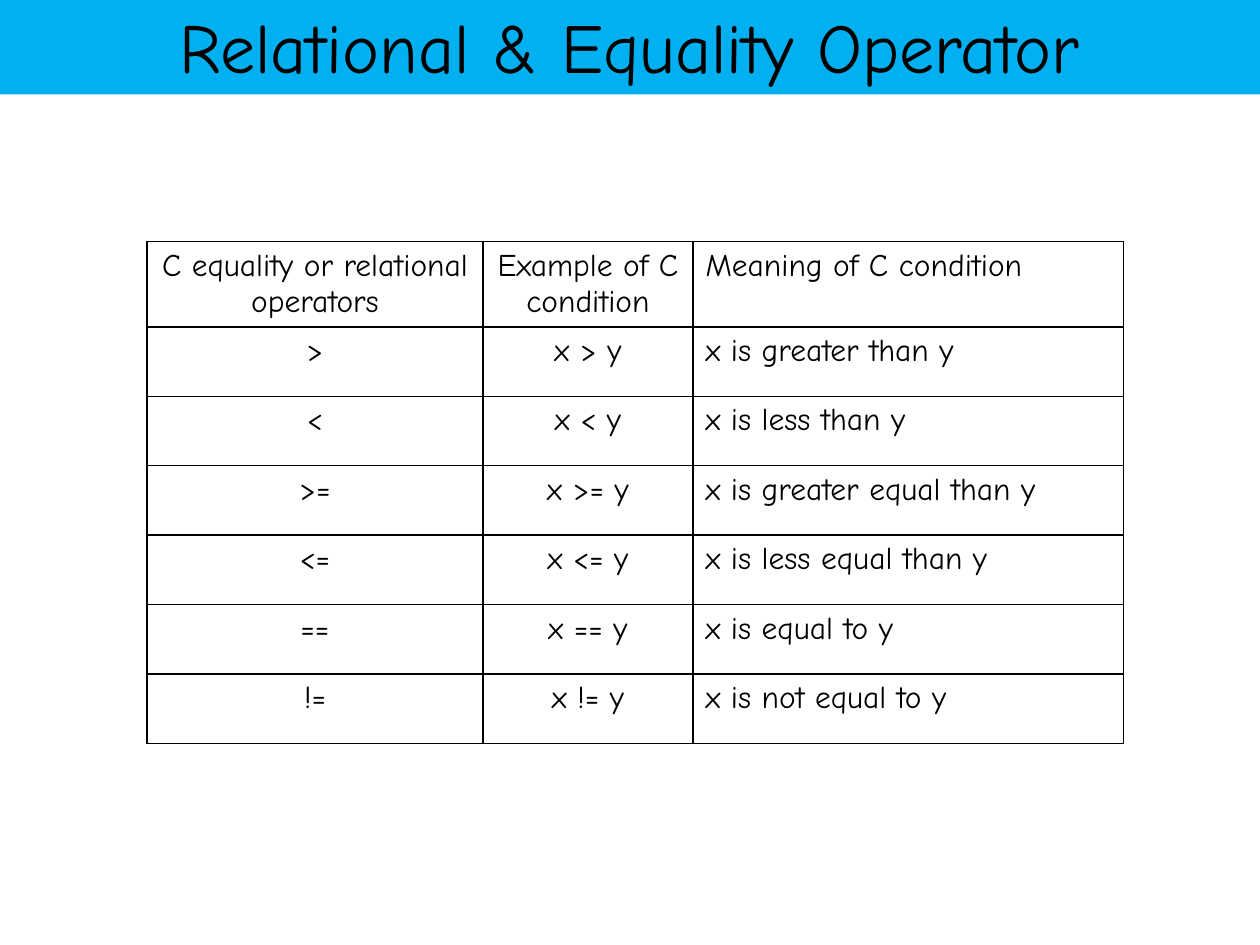
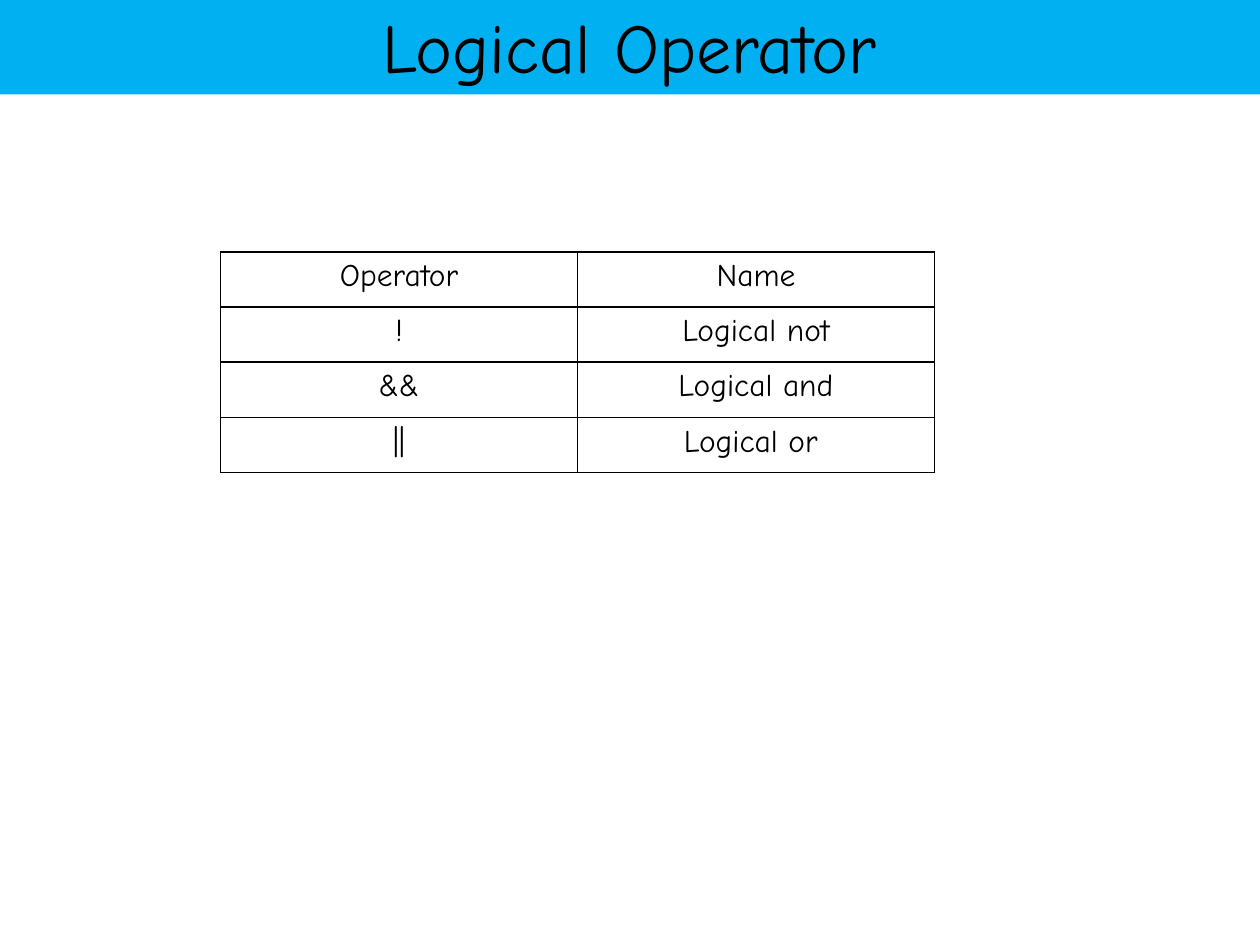
from lxml import etree
from pptx import Presentation
from pptx.dml.color import RGBColor
from pptx.enum import shapes, text
from pptx.oxml import ns
from pptx.util import Pt

SKY = RGBColor(0x00, 0xB0, 0xF0)
BLACK = RGBColor(0x00, 0x00, 0x00)
FONT = "Comic Neue"
TITLE_SIZE, CELL_SIZE = Pt(40), Pt(18)
BORDER_WIDTH = Pt(1)
BAND_BOX = (Pt(-0.72), Pt(-2.16), Pt(720.72), Pt(56.16))
CENTER, LEFT = text.PP_ALIGN.CENTER, text.PP_ALIGN.LEFT

RELATIONS = [
    (">", "greater than"),
    ("<", "less than"),
    (">=", "greater equal than"),
    ("<=", "less equal than"),
    ("==", "equal to"),
    ("!=", "not equal to"),
]
RELATIONAL_ROWS = [
    ("C equality or relational operators", "Example of C condition",
     "Meaning of C condition"),
] + [(sign, f"x {sign} y", f"x is {meaning} y") for sign, meaning in RELATIONS]

LOGICAL_ROWS = [
    ("Operator", "Name"),
    ("!", "Logical not"),
    ("&&", "Logical and"),
    ("||", "Logical or "),
]


def write(paragraph, wording, size, alignment):
    """Add one run of black text to a paragraph."""
    paragraph.alignment = alignment
    run = paragraph.add_run()
    run.text = wording
    run.font.name = FONT
    run.font.size = size
    run.font.color.rgb = BLACK


def add_title_band(slide, wording, box):
    """Draw the coloured band with the centred slide title."""
    band = slide.shapes.add_shape(shapes.MSO_SHAPE.RECTANGLE, *box)
    band.shadow.inherit = False
    band.fill.solid()
    band.fill.fore_color.rgb = SKY
    band.line.fill.background()
    band.text_frame.vertical_anchor = text.MSO_ANCHOR.MIDDLE
    write(band.text_frame.paragraphs[0], wording, TITLE_SIZE, CENTER)


def add_borders(cell):
    """Give a cell a thin black line on all four sides."""
    properties = cell._tc.get_or_add_tcPr()
    for index, side in enumerate(("lnL", "lnR", "lnT", "lnB")):
        line = etree.Element(ns.qn(f"a:{side}"), w=str(BORDER_WIDTH))
        fill = etree.SubElement(line, ns.qn("a:solidFill"))
        etree.SubElement(fill, ns.qn("a:srgbClr"), val=str(BLACK))
        properties.insert(index, line)


def add_grid(slide, rows, left, top, widths, row_height, alignments):
    """Place a plain ruled table with equal rows at left, top."""
    frame = slide.shapes.add_table(len(rows), len(widths), left, top,
                                   sum(widths), row_height * len(rows))
    table = frame.table
    table.first_row = False
    table.horz_banding = False
    for column, width in zip(table.columns, widths):
        column.width = width
    for row, wordings in zip(table.rows, rows):
        row.height = row_height
        for cell, wording, alignment in zip(row.cells, wordings, alignments):
            cell.fill.background()
            add_borders(cell)
            write(cell.text_frame.paragraphs[0], wording, CELL_SIZE, alignment)


def add_operator_slide(presentation, title, *grid):
    """Add a slide with a title band and one table of operators."""
    slide = presentation.slides.add_slide(presentation.slide_layouts[6])
    add_grid(slide, *grid)
    add_title_band(slide, title, BAND_BOX)


presentation = Presentation()
presentation.slide_width, presentation.slide_height = Pt(720), Pt(540)
add_operator_slide(presentation, "Relational & Equality Operator",
                   RELATIONAL_ROWS, Pt(84), Pt(138),
                   [Pt(192), Pt(120), Pt(246)], Pt(39.7),
                   [CENTER, CENTER, LEFT])
add_operator_slide(presentation, "Logical Operator",
                   LOGICAL_ROWS, Pt(126), Pt(144),
                   [Pt(204)] * 2, Pt(31.5), [CENTER] * 2)
presentation.save("out.pptx")
